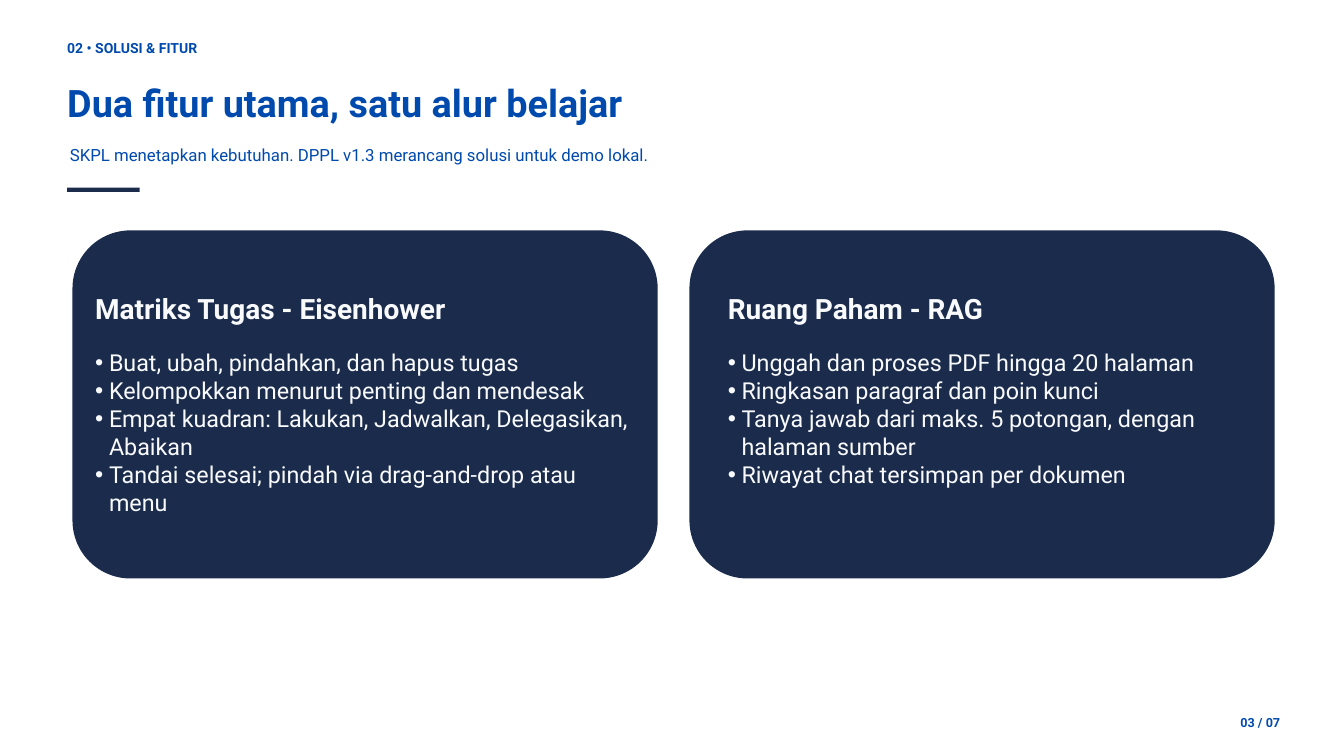
import dataclasses

import pptx
import pptx.dml.color
import pptx.enum.shapes
import pptx.enum.text
import pptx.oxml
import pptx.oxml.ns
import pptx.util

Cm = pptx.util.Cm
Pt = pptx.util.Pt
Align = pptx.enum.text.PP_ALIGN
Shape = pptx.enum.shapes.MSO_SHAPE


@dataclasses.dataclass(frozen=True)
class Theme:
    font: str = "Roboto"
    blue: str = "004AAD"
    navy: str = "1B2B4C"
    light: str = "F8FAFC"
    paper: str = "FFFFFF"
    title: float = 40.5
    heading: float = 30
    body: float = 25
    subtitle: float = 18
    label: float = 15
    number: float = 13.5
    leading: float = 1.2


THEME = Theme()

CARDS = [
    ("Matriks Tugas - Eisenhower", 0.86, [
        "Buat, ubah, pindahkan, dan hapus tugas",
        "Kelompokkan menurut penting dan mendesak",
        "Empat kuadran: Lakukan, Jadwalkan, Delegasikan, Abaikan",
        "Tandai selesai; pindah via drag-and-drop atau menu",
    ]),
    ("Ruang Paham - RAG", 1.45, [
        "Unggah dan proses PDF hingga 20 halaman",
        "Ringkasan paragraf dan poin kunci",
        "Tanya jawab dari maks. 5 potongan, dengan halaman sumber",
        "Riwayat chat tersimpan per dokumen",
    ]),
]


def rgb(colour):
    return pptx.dml.color.RGBColor.from_string(colour)


def apply(target, values):
    for name, value in values.items():
        setattr(target, name, value)


def place(shape, left, top, width, height):
    apply(shape, {"left": Cm(left), "top": Cm(top),
                  "width": Cm(width), "height": Cm(height)})


def add_bullet(para, hanging=0.52):
    properties = para._p.get_or_add_pPr()
    properties.set("marL", str(Cm(hanging)))
    properties.set("indent", str(-Cm(hanging)))
    bullet = pptx.oxml.parse_xml(
        f'<a:buChar {pptx.oxml.ns.nsdecls("a")} char="•"/>')
    properties.append(bullet)


def write(box, lines, size, colour, bold=False, align=Align.LEFT, bullets=False):
    frame = box.text_frame
    apply(frame, {
        "margin_left": 0, "margin_top": 0, "margin_right": 0, "margin_bottom": 0,
        "word_wrap": True,
        "auto_size": pptx.enum.text.MSO_AUTO_SIZE.NONE,
        "vertical_anchor": pptx.enum.text.MSO_ANCHOR.TOP,
    })
    frame.text = "\n".join(lines)
    for para in frame.paragraphs:
        if bullets:
            add_bullet(para)
        apply(para, {"alignment": align, "space_before": Pt(0),
                     "line_spacing": Pt(size * THEME.leading)})
        apply(para.font, {"name": THEME.font, "size": Pt(size), "bold": bold})
        para.font.color.rgb = rgb(colour)


def add_label(page, box, words, size, **style):
    label = page.shapes.add_textbox(*map(Cm, box))
    write(label, [words], size, THEME.blue, **style)


def add_panel(page, kind, box):
    """Add a plain navy shape behind the text of the page."""
    panel = page.shapes.add_shape(kind, *map(Cm, box))
    panel.shadow.inherit = False
    panel.fill.solid()
    panel.fill.fore_color.rgb = rgb(THEME.navy)
    panel.line.fill.background()
    panel.element.getparent().insert(2, panel.element)


def build_header(page, left, top, width):
    add_label(page, (left, top, 32.31, 0.97), "02 • SOLUSI & FITUR",
              THEME.label, bold=True)
    title = page.shapes.title
    place(title, left, top + 1.52, width, 2.24)
    write(title, ["Dua fitur utama, satu alur belajar"],
          THEME.title, THEME.blue, bold=True)
    add_label(page, (left + 0.1, top + 3.96, width - 0.38, 0.74),
              "SKPL menetapkan kebutuhan. DPPL v1.3 merancang solusi untuk demo lokal.",
              THEME.subtitle)
    add_panel(page, Shape.RECTANGLE, (left, top + 5.59, 2.74, 0.17))


def build_card(page, box, heading_holder, list_holder, card):
    left, top, width, height = box
    heading, inset, points = card
    add_panel(page, Shape.ROUNDED_RECTANGLE, box)
    place(heading_holder, left + inset, top + 2.31, 20.42, 1.27)
    write(heading_holder, [heading], THEME.heading, THEME.light, bold=True)
    place(list_holder, left + inset, top + 4.47, 20.42, 6.4)
    write(list_holder, points, THEME.body, THEME.light, bullets=True)


def build_cards(page, left, top, width, height, gap=1.2):
    card_width = (width - gap) / 2
    holders = page.placeholders
    for column, card in enumerate(CARDS):
        box = (left + column * (card_width + gap), top, card_width, height)
        first = 1 + 2 * column
        build_card(page, box, holders[first], holders[first + 1], card)


def main():
    deck = pptx.Presentation()
    apply(deck, {"slide_width": Cm(50.8), "slide_height": Cm(28.58)})
    page = deck.slides.add_slide(deck.slide_layouts.get_by_name("Comparison"))
    page.background.fill.solid()
    page.background.fill.fore_color.rgb = rgb(THEME.paper)
    build_header(page, 2.54, 1.5, 45.64)
    build_cards(page, 2.74, 8.71, 45.44, 13.16)
    add_label(page, (44.86, 27.03, 3.53, 0.61), "03 / 07",
              THEME.number, bold=True, align=Align.RIGHT)
    deck.save("out.pptx")


if __name__ == "__main__":
    main()
